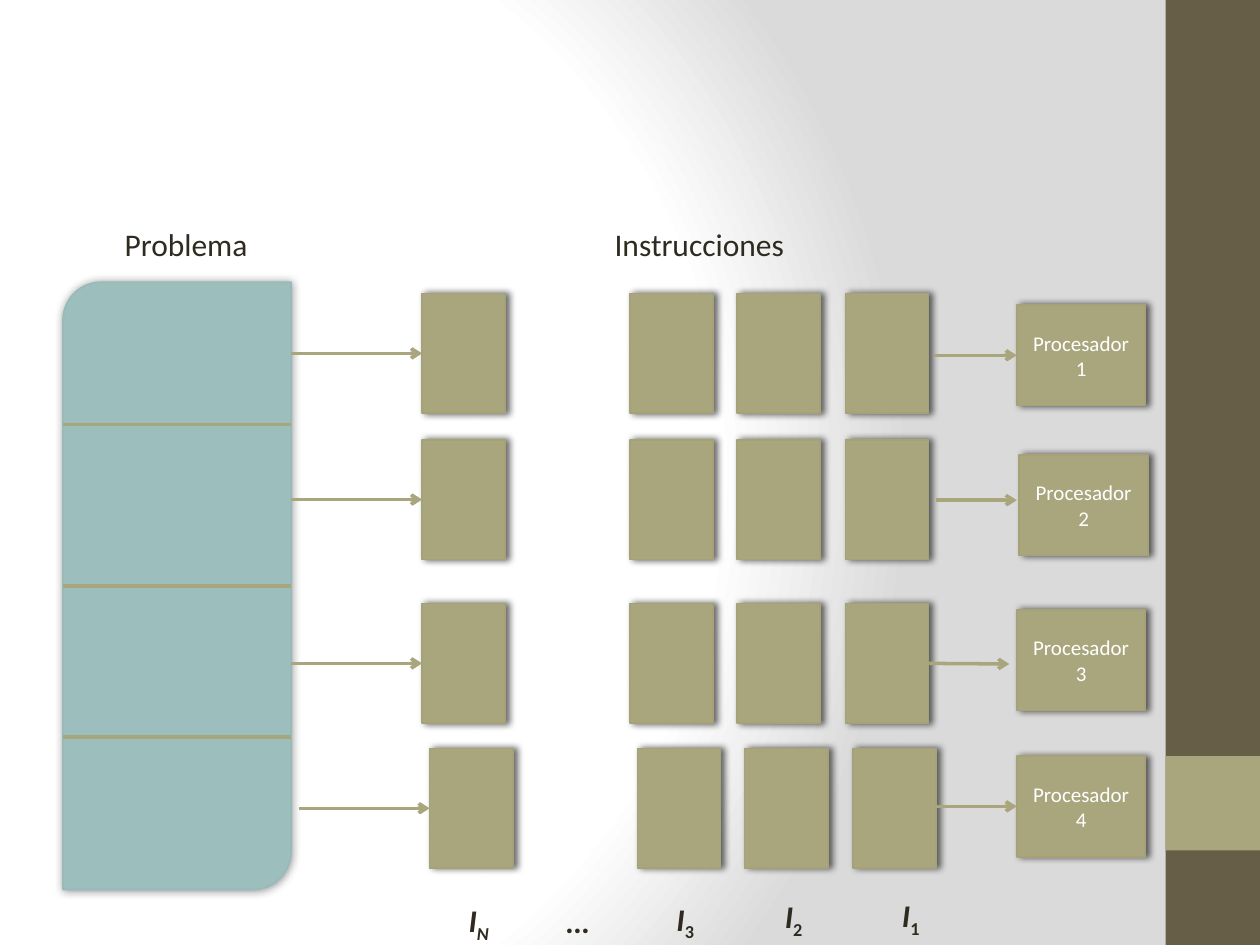
from lxml.etree import SubElement
from pptx import Presentation
from pptx.dml.color import RGBColor
from pptx.enum.shapes import MSO_CONNECTOR, MSO_SHAPE
from pptx.enum.text import MSO_ANCHOR, MSO_AUTO_SIZE, PP_ALIGN
from pptx.oxml import parse_xml
from pptx.oxml.ns import nsdecls, qn
from pptx.util import Inches, Pt

OLIVE = "A9A57C"
OLIVE_EDGE = "A6A278"
TEAL = "9CBEBD"
TEAL_EDGE = "98BBBA"
BROWN = "675E47"
INK = "2F2B20"
WHITE = "FFFFFF"
BLOCK_WIDTH, BLOCK_HEIGHT = 0.66, 0.95
BLOCK_LEFTS = [3.35, 5, 5.85, 6.71]


def color(value):
    return RGBColor.from_string(value)


def add_background(page):
    stops = "".join(
        f'<a:gs pos="{position}"><a:srgbClr val="{value}"/></a:gs>'
        for position, value in [(0, WHITE), (75000, WHITE), (100000, "DADADA")]
    )
    page.element.cSld.insert(0, parse_xml(
        f'<p:bg {nsdecls("p", "a")}><p:bgPr><a:gradFill rotWithShape="1">'
        f'<a:gsLst>{stops}</a:gsLst><a:path path="circle">'
        '<a:fillToRect l="20000" t="50000" r="100000" b="50000"/></a:path>'
        '</a:gradFill><a:effectLst/></p:bgPr></p:bg>'
    ))


def add_box(page, bounds, fill, edge=None, kind=MSO_SHAPE.RECTANGLE):
    box = page.shapes.add_shape(kind, *map(Inches, bounds))
    box.shadow.inherit = False
    box.fill.solid()
    box.fill.fore_color.rgb = color(fill)
    if edge:
        box.line.color.rgb = color(edge)
        box.line.width = Pt(1)
    else:
        box.line.fill.background()
    return box


def cast_shadow(box, blur, distance, opacity):
    effects = box.element.spPr.find(qn("a:effectLst"))
    shadow = SubElement(
        effects, qn("a:outerShdw"), blurRad=str(Pt(blur)), dist=str(Pt(distance)),
        dir="0", algn="ctr", rotWithShape="0",
    )
    shade = SubElement(shadow, qn("a:srgbClr"), val="000000")
    SubElement(shade, qn("a:alpha"), val=str(opacity * 1000))


def add_card(page, bounds):
    card = add_box(page, bounds, OLIVE, OLIVE_EDGE)
    cast_shadow(card, 4, 2, 60)
    return card


def add_line(page, left, right, height, arrow=False):
    line = page.shapes.add_connector(
        MSO_CONNECTOR.STRAIGHT, Inches(left), Inches(height), Inches(right), Inches(height)
    )
    line.line.color.rgb = color(OLIVE)
    line.line.width = Pt(2)
    if arrow:
        SubElement(line.line._get_or_add_ln(), qn("a:tailEnd"), type="arrow")
    SubElement(line.element.spPr, qn("a:effectLst"))
    return line


def style_span(span, size, ink):
    span.font.name = "Calibri"
    span.font.size = Pt(size)
    span.font.color.rgb = color(ink)


def add_label(page, bounds, text):
    label = page.shapes.add_textbox(*map(Inches, bounds))
    frame = label.text_frame
    frame.text = text
    frame.word_wrap = False
    frame.auto_size = MSO_AUTO_SIZE.SHAPE_TO_FIT_TEXT
    para = frame.paragraphs[0]
    style_span(para.runs[0], 18, INK)
    return para


def add_side_band(page, left, top, width, height):
    add_box(page, (left, top, width, height), BROWN)
    add_box(page, (left, top + 0.8 * height, width, width), OLIVE)


def add_problem(page, left, top, width, height):
    problem = add_box(
        page, (left, top, width, height), TEAL, TEAL_EDGE, MSO_SHAPE.ROUND_2_DIAG_RECTANGLE
    )
    cast_shadow(problem, 5, 0, 40)
    for divider in (3.37, 4.65, 5.85):
        add_line(page, left, left + width, divider)


def add_instruction_row(page, top, shift):
    blocks = [
        add_card(page, (left + shift, top, BLOCK_WIDTH, BLOCK_HEIGHT)) for left in BLOCK_LEFTS
    ]
    middle = top + BLOCK_HEIGHT / 2
    arrow = add_line(page, 2.31 + shift, BLOCK_LEFTS[0] + shift, middle, arrow=True)
    arrow.end_connect(blocks[0], 1)
    return blocks[-1]


def add_processor(page, left, top, width, height, number):
    processor = add_card(page, (left, top, width, height))
    frame = processor.text_frame
    frame.text = f"Procesador {number}"
    frame.word_wrap = True
    frame.vertical_anchor = MSO_ANCHOR.MIDDLE
    para = frame.paragraphs[0]
    para.alignment = PP_ALIGN.CENTER
    style_span(para.runs[0], 12, WHITE)
    return processor


def add_index(page, bounds, subscript, italic=False):
    para = add_label(page, bounds, "I")
    span = para.add_run()
    span.text = subscript
    style_span(span, 18, INK)
    for part in para.runs:
        part.font.bold = True
    para.runs[0].font.italic = True
    span.font.italic = italic
    span.font._element.set("baseline", "-25000")


def add_index_row(page):
    for left, top, subscript in [(7.06, 7.06, "1"), (6.13, 7.07, "2"), (5.27, 7.09, "3")]:
        add_index(page, (left, top, 0.38, 0.4), subscript)
    add_index(page, (3.62, 7.1, 0.42, 0.4), "N", italic=True)
    dots = add_label(page, (4.4, 7.11, 0.4, 0.4), "…").runs[0]
    dots.font.bold = True
    dots.font.italic = True


def main():
    deck = Presentation()
    deck.slide_width, deck.slide_height = Inches(10), Inches(7.5)
    page = deck.slides.add_slide(deck.slide_layouts[6])
    add_background(page)
    add_side_band(page, 9.25, 0, 0.75, 7.5)
    add_problem(page, 0.5, 2.24, 1.81, 4.82)
    add_label(page, (0.89, 1.74, 1.19, 0.4), "Problema")
    add_label(page, (4.78, 1.74, 1.56, 0.4), "Instrucciones")

    rows = [(2.33, 0), (3.49, 0), (4.79, 0), (5.94, 0.06)]
    last_blocks = [add_instruction_row(page, top, shift) for top, shift in rows]
    places = [(8.07, 2.42), (8.09, 3.61), (8.07, 4.84), (8.07, 6)]
    processors = [
        add_processor(page, left, top, 1.02, 0.8, number)
        for number, (left, top) in enumerate(places, 1)
    ]
    spans = [(7.41, 8.06, 2.82), (7.43, 8.07, 3.97), (7.36, 8.01, 5.27), (7.41, 8.05, 6.4)]
    arrows = [add_line(page, *span, arrow=True) for span in spans]
    arrows[0].end_connect(processors[0], 1)
    arrows[2].begin_connect(last_blocks[2], 3)
    arrows[3].end_connect(processors[3], 1)
    add_index_row(page)
    deck.save("out.pptx")


if __name__ == "__main__":
    main()
